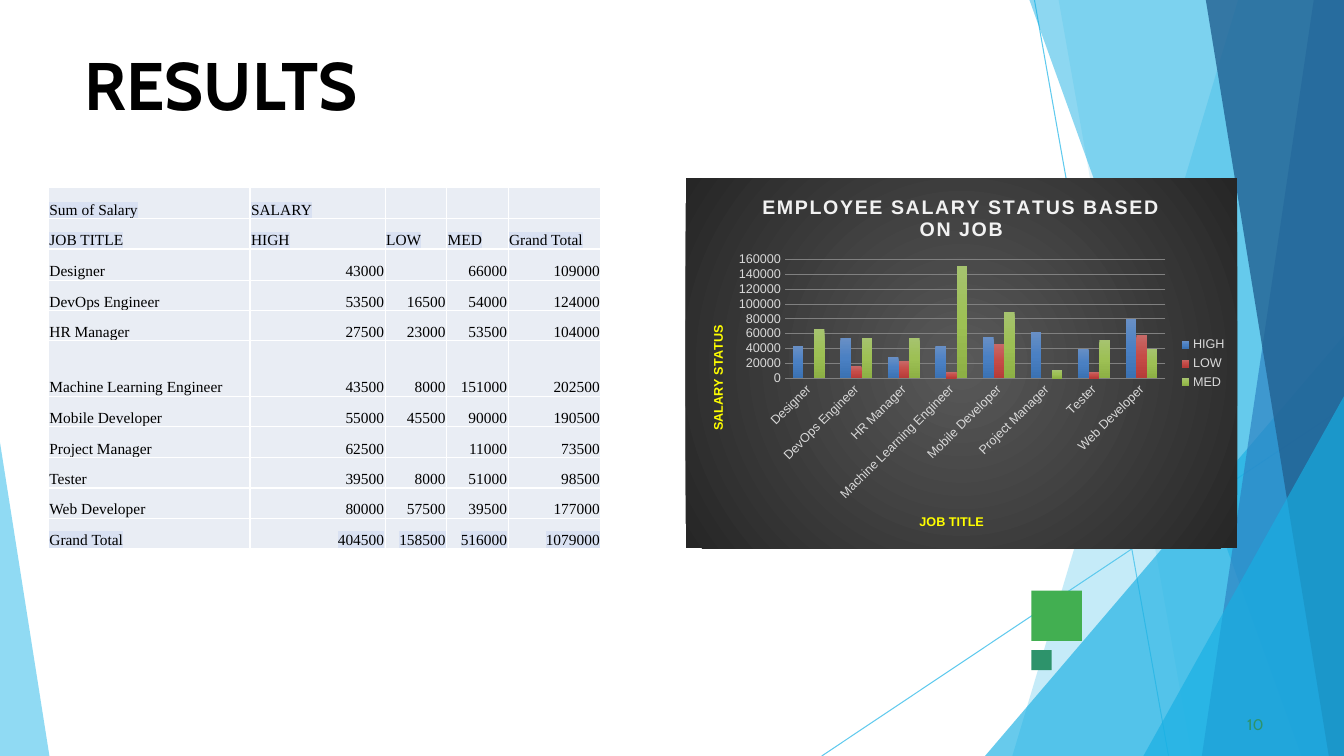
import lxml.etree
import pptx
import pptx.chart.data
import pptx.dml.color
import pptx.enum.chart
import pptx.enum.shapes
import pptx.enum.text
import pptx.oxml
import pptx.oxml.ns
import pptx.util

Inches = pptx.util.Inches
Pt = pptx.util.Pt
RGBColor = pptx.dml.color.RGBColor
qn = pptx.oxml.ns.qn

BLACK = RGBColor(0x00, 0x00, 0x00)
WHITE = RGBColor(0xFF, 0xFF, 0xFF)
SKY = RGBColor(0x5F, 0xCA, 0xEE)
CYAN = RGBColor(0x17, 0xAF, 0xE3)
BLUE = RGBColor(0x2D, 0x83, 0xC3)
NAVY = RGBColor(0x22, 0x61, 0x92)
GREEN = RGBColor(0x42, 0xAF, 0x51)
TEAL = RGBColor(0x2D, 0x93, 0x6B)
CELL = RGBColor(0xE9, 0xED, 0xF4)
HIGHLIGHT = RGBColor(0xD9, 0xE1, 0xF2)
YELLOW = RGBColor(0xFF, 0xFF, 0x00)
PALE = RGBColor(0xF2, 0xF2, 0xF2)
LABEL = RGBColor(0xD9, 0xD9, 0xD9)
GRID = RGBColor(0x80, 0x80, 0x80)
DARK_GRAY = RGBColor(0x59, 0x59, 0x59)
CHARCOAL = RGBColor(0x26, 0x26, 0x26)
SERIES_GRADIENTS = [
    [RGBColor(0x68, 0x8F, 0xC5), RGBColor(0x4A, 0x80, 0xC3), RGBColor(0x3B, 0x72, 0xB3)],
    [RGBColor(0xC7, 0x69, 0x67), RGBColor(0xC6, 0x4B, 0x47), RGBColor(0xB6, 0x3C, 0x39)],
    [RGBColor(0xA6, 0xC3, 0x6F), RGBColor(0x9D, 0xC0, 0x54), RGBColor(0x8D, 0xB0, 0x45)],
]


def gradient_fill(colors, direction):
    """Return a gradFill element with evenly spaced colors."""
    step = 100000 // (len(colors) - 1)
    stops = "".join(f'<a:gs pos="{index * step}"><a:srgbClr val="{color}"/></a:gs>'
                    for index, color in enumerate(colors))
    return pptx.oxml.parse_xml(f'<a:gradFill {pptx.oxml.ns.nsdecls("a")} rotWithShape="1">'
                               f"<a:gsLst>{stops}</a:gsLst>{direction}</a:gradFill>")


def place_in_chart(element, **fractions):
    """Fix a chart part at fractions of the chart's width and height."""
    layout = element.find(qn("c:layout"))
    if layout is None:
        layout = lxml.etree.Element(qn("c:layout"))
        element.insert(0, layout)
    manual = lxml.etree.SubElement(layout, qn("c:manualLayout"))
    if "w" in fractions:
        lxml.etree.SubElement(manual, qn("c:layoutTarget"), val="inner")
    for mode in ("xMode", "yMode"):
        lxml.etree.SubElement(manual, qn(f"c:{mode}"), val="edge")
    for name, fraction in fractions.items():
        lxml.etree.SubElement(manual, qn(f"c:{name}"), val=str(fraction))


presentation = pptx.Presentation()
presentation.slide_width = Inches(13.33)
presentation.slide_height = Inches(7.5)
slide = presentation.slides.add_slide(presentation.slide_layouts[5])

# Background lines and facets
for x1, y1, x2, y2 in [(10.26, 0, 11.59, 7.5), (13.33, 4.04, 8.15, 7.5)]:
    line = slide.shapes.add_connector(pptx.enum.shapes.MSO_CONNECTOR.STRAIGHT,
                                      Inches(x1), Inches(y1), Inches(x2), Inches(y2))
    line.line.color.rgb = SKY
    line.line.width = Pt(0.75)
    lxml.etree.SubElement(line.line._get_or_add_ln().getparent(), qn("a:effectLst"))

facets = [
    ([(13.33, 0), (12.28, 0), (10.04, 7.5), (13.33, 7.5)], SKY, 36),
    ([(13.33, 0), (10.5, 0), (11.82, 7.5), (13.33, 7.5)], SKY, 20),
    ([(13.33, 3.33), (9.77, 7.5), (13.33, 7.5)], CYAN, 65),
    ([(13.33, 0), (10.21, 0), (12.91, 7.5), (13.33, 7.5)], CYAN, 49),
    ([(13.33, 0), (13.03, 0), (11.92, 7.5), (13.33, 7.5)], BLUE, 69),
    ([(13.33, 0), (11.96, 0), (13.18, 7.5), (13.33, 7.5)], NAVY, 80),
    ([(13.33, 3.93), (11.34, 7.5), (13.33, 7.5)], CYAN, 65),
    ([(0, 4.39), (0, 7.5), (0.49, 7.5)], SKY, 69),
]
for corners, color, opacity in facets:
    points = [(Inches(x), Inches(y)) for x, y in corners]
    builder = slide.shapes.build_freeform(*points[0])
    builder.add_line_segments(points[1:], close=True)
    facet = builder.convert_to_shape()
    facet.shadow.inherit = False
    facet.fill.solid()
    facet.fill.fore_color.rgb = color
    facet.line.fill.background()
    fill_color = facet._element.spPr.find(f'{qn("a:solidFill")}/{qn("a:srgbClr")}')
    lxml.etree.SubElement(fill_color, qn("a:alpha"), val=str(opacity * 1000))

for top, size, color in [(5.86, 0.5, GREEN), (6.45, 0.2, TEAL)]:
    square = slide.shapes.add_shape(pptx.enum.shapes.MSO_SHAPE.RECTANGLE,
                                    Inches(10.23), Inches(top), Inches(size), Inches(size))
    square.shadow.inherit = False
    square.fill.solid()
    square.fill.fore_color.rgb = color
    square.line.fill.background()

# Title and page number
title = slide.shapes.title
title.left, title.top, title.width, title.height = map(Inches, (0.83, 0.42, 2.92, 1.63))
page_number = slide.shapes.add_textbox(Inches(12.33), Inches(7.08), Inches(0.25), Inches(0.21))
for box, text, size, color, indent in [(title, "RESULTS", 48, BLACK, 0.01),
                                       (page_number, "10", 11, TEAL, 0.04)]:
    frame = box.text_frame
    frame.word_wrap = True
    frame.vertical_anchor = pptx.enum.text.MSO_ANCHOR.TOP
    frame.margin_left = Inches(indent)
    frame.margin_top = Inches(0.01)
    frame.margin_right = frame.margin_bottom = 0
    paragraph = frame.paragraphs[0]
    paragraph.alignment = pptx.enum.text.PP_ALIGN.LEFT
    run = paragraph.add_run()
    run.text = text
    run.font.name = "Cabin"
    run.font.size = Pt(size)
    run.font.bold = box is title
    run.font.color.rgb = color

# Salary data, shared by the chart and the table
levels = ["HIGH", "LOW", "MED"]
salaries = {
    "Designer": (43000, None, 66000),
    "DevOps Engineer": (53500, 16500, 54000),
    "HR Manager": (27500, 23000, 53500),
    "Machine Learning Engineer": (43500, 8000, 151000),
    "Mobile Developer": (55000, 45500, 90000),
    "Project Manager": (62500, None, 11000),
    "Tester": (39500, 8000, 51000),
    "Web Developer": (80000, 57500, 39500),
}

# Chart
chart_data = pptx.chart.data.CategoryChartData()
chart_data.categories = list(salaries)
for level, values in zip(levels, zip(*salaries.values())):
    chart_data.add_series(level, [value and round(value, -3) for value in values])
chart = slide.shapes.add_chart(pptx.enum.chart.XL_CHART_TYPE.COLUMN_CLUSTERED,
                               Inches(6.8), Inches(1.77), Inches(5.47), Inches(3.67),
                               chart_data).chart
chart.font.name = "Arial"
chart.font.size = Pt(9)
chart.font.color.rgb = LABEL
chart.has_legend = True
chart.legend.position = pptx.enum.chart.XL_LEGEND_POSITION.RIGHT
chart.legend.include_in_layout = False

chart_space = chart._chartSpace
background = lxml.etree.Element(qn("c:spPr"))
background.append(gradient_fill(
    [DARK_GRAY, CHARCOAL],
    '<a:path path="circle"><a:fillToRect l="50000" t="50000" r="50000" b="50000"/></a:path>'))
outline = lxml.etree.SubElement(background, qn("a:ln"))
lxml.etree.SubElement(outline, qn("a:noFill"))
chart_space.find(qn("c:chart")).addnext(background)

plot = chart.plots[0]
plot.gap_width = 150
plot.overlap = 0
plot.vary_by_categories = False
for series, colors in zip(plot.series, SERIES_GRADIENTS):
    series.invert_if_negative = False
    series.format.line.fill.background()
    series._element.spPr.insert(0, gradient_fill(colors, '<a:lin ang="5400000" scaled="0"/>'))

category_axis, value_axis = chart.category_axis, chart.value_axis
for axis in (category_axis, value_axis):
    axis.major_tick_mark = pptx.enum.chart.XL_TICK_MARK.NONE
    axis.format.line.fill.background()
    axis.tick_labels.font.size = Pt(9)
    axis.tick_labels.font.color.rgb = LABEL
category_axis._element.find(f'{qn("c:txPr")}/{qn("a:bodyPr")}').set("rot", "-2700000")
value_axis.minimum_scale, value_axis.maximum_scale, value_axis.major_unit = 0, 160000, 20000
value_axis.major_gridlines.format.line.color.rgb = GRID
value_axis.major_gridlines.format.line.width = Pt(0.75)

chart.has_title = True
for heading, text, size, color in [
        (chart.chart_title, "EMPLOYEE SALARY STATUS BASED ON JOB", 14, PALE),
        (category_axis.axis_title, "JOB TITLE", 9, YELLOW),
        (value_axis.axis_title, "SALARY STATUS", 9, YELLOW)]:
    run = heading.text_frame.paragraphs[0].add_run()
    run.text = text
    run.font.name = "Arial"
    run.font.size = Pt(size)
    run.font.bold = True
    run.font.color.rgb = color
    if heading is chart.chart_title or size == 14:
        run.font._element.set("spc", "100")
value_title = value_axis.axis_title
value_title.text_frame._txBody.find(qn("a:bodyPr")).set("rot", "-5400000")
place_in_chart(category_axis.axis_title._element, x=0.42, y=0.9)
place_in_chart(value_title._element, x=0.04, y=0.39)
place_in_chart(chart_space.chart.plotArea, x=0.18, y=0.22, w=0.69, h=0.32)

# Table
rows = [["Sum of Salary", "SALARY", "", "", ""], ["JOB TITLE", *levels, "Grand Total"]]
for job, values in salaries.items():
    rows.append([job, *values, sum(filter(None, values))])
totals = [sum(filter(None, column)) for column in zip(*salaries.values())]
rows.append(["Grand Total", *totals, sum(totals)])

table = slide.shapes.add_table(len(rows), 5, Inches(0.48), Inches(1.86),
                               Inches(5.48), Inches(3.55)).table
table.first_row = table.horz_banding = False
for column, width in zip(table.columns, (2, 1.34, 0.61, 0.61, 0.92)):
    column.width = Inches(width)
for row_index, values in enumerate(rows):
    table.rows[row_index].height = Inches(0.55 if values[0].startswith("Machine") else 0.3)
    for column_index, value in enumerate(values):
        cell = table.cell(row_index, column_index)
        cell.margin_left = cell.margin_right = cell.margin_top = Inches(0.01)
        cell.margin_bottom = 0
        cell.vertical_anchor = pptx.enum.text.MSO_ANCHOR.BOTTOM
        cell.fill.solid()
        cell.fill.fore_color.rgb = CELL
        for index, side in enumerate(("lnL", "lnR", "lnT", "lnB")):
            cell._tc.tcPr.insert(index, pptx.oxml.parse_xml(
                f'<a:{side} {pptx.oxml.ns.nsdecls("a")} w="12700"><a:solidFill>'
                f'<a:srgbClr val="{WHITE}"/></a:solidFill></a:{side}>'))
        paragraph = cell.text_frame.paragraphs[0]
        if isinstance(value, int):
            paragraph.alignment = pptx.enum.text.PP_ALIGN.RIGHT
        run = paragraph.add_run()
        run.text = "" if value is None else str(value)
        run.font.name = "Times New Roman"
        run.font.size = Pt(11)
        run.font.color.rgb = BLACK
        if row_index in (0, 1, len(rows) - 1):
            highlight = lxml.etree.Element(qn("a:highlight"))
            lxml.etree.SubElement(highlight, qn("a:srgbClr"), val=str(HIGHLIGHT))
            run.font._element.find(qn("a:solidFill")).addnext(highlight)

presentation.save("out.pptx")
